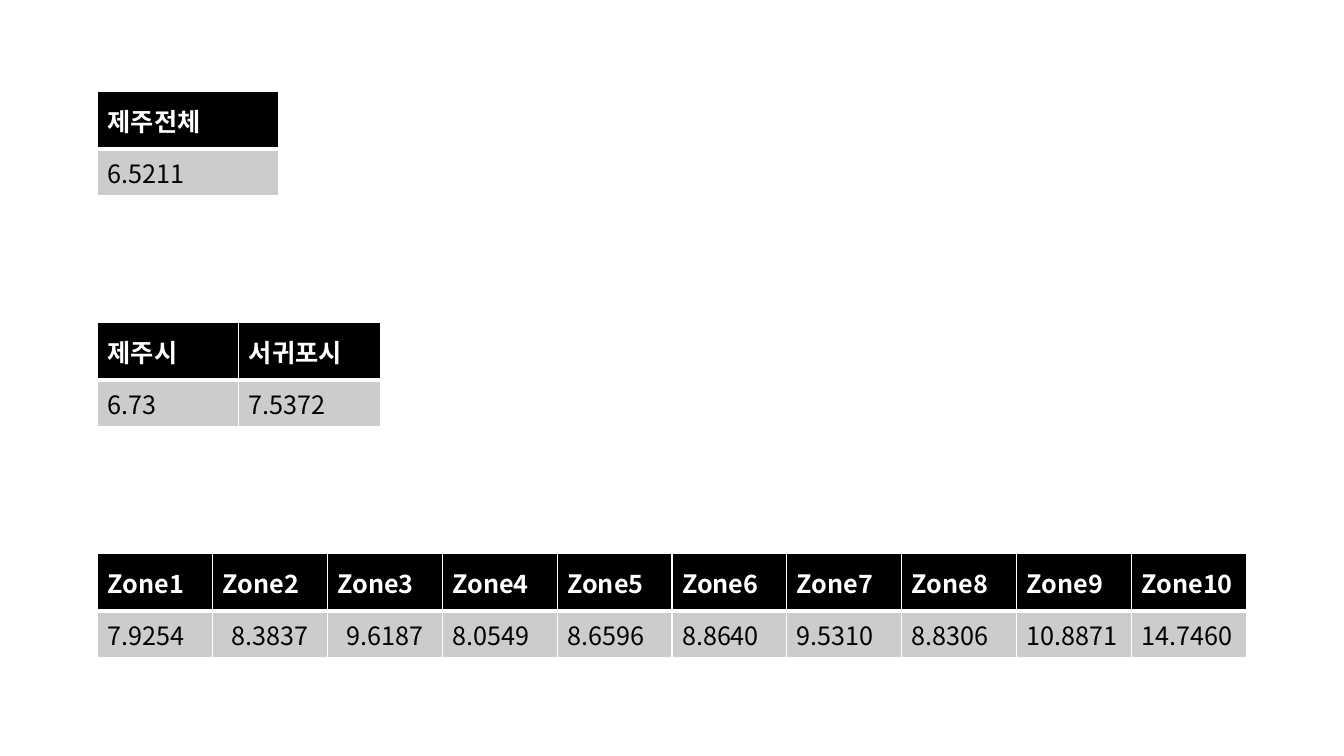
from dataclasses import dataclass

from lxml import etree
from pptx import Presentation
from pptx.dml.color import RGBColor
from pptx.enum.text import MSO_ANCHOR, PP_ALIGN
from pptx.oxml.ns import qn
from pptx.util import Cm, Pt

MIDDLE = MSO_ANCHOR.MIDDLE
LEFT = PP_ALIGN.LEFT
CENTER = PP_ALIGN.CENTER
FONT = "Noto Sans CJK KR"
BLACK, GREY, WHITE = "000000", "CCCCCC", "FFFFFF"
TABLE_LEFT = 2.46
FIRST_TOP, TOP_STEP = 2.31, 5.82
HEAD_H, BODY_H = 1.45, 0.84
HEAD_BORDERS = {"lnL": 1, "lnR": 1, "lnT": 1, "lnB": 3}
BODY_BORDERS = {"lnL": 1, "lnR": 1, "lnB": 1}


@dataclass(frozen=True)
class RegionTable:
    col_w: float
    values: dict[str, str]
    centered: tuple[str, ...] = ()


REGION_TABLES = [
    RegionTable(4.57, {"제주전체": "6.5211"}),
    RegionTable(3.56, {"제주시": "6.73", "서귀포시": "7.5372"}),
    RegionTable(2.895, {
        "Zone1": "7.9254", "Zone2": "8.3837", "Zone3": "9.6187",
        "Zone4": "8.0549", "Zone5": "8.6596", "Zone6": "8.8640",
        "Zone7": "9.5310", "Zone8": "8.8306", "Zone9": "10.8871",
        "Zone10": "14.7460",
    }, ("Zone2", "Zone3")),
]


def rgb(color: str) -> RGBColor:
    return RGBColor.from_string(color)


def set_borders(cell, borders: dict[str, int]) -> None:
    tc_pr = cell._tc.get_or_add_tcPr()
    for edge, width in borders.items():
        ln = etree.SubElement(tc_pr, qn(f"a:{edge}"), w=str(Pt(width)))
        fill = etree.SubElement(ln, qn("a:solidFill"))
        etree.SubElement(fill, qn("a:srgbClr"), val=WHITE)


def write_text(cell, text: str, *, color: str, bold: bool = False,
               align: PP_ALIGN = LEFT) -> None:
    cell.vertical_anchor = MIDDLE
    p = cell.text_frame.paragraphs[0]
    p.alignment = align
    r = p.add_run()
    r.text = text
    r.font.size = Pt(18)
    r.font.bold = bold
    r.font.color.rgb = rgb(color)
    r.font.name = FONT
    etree.SubElement(r._r.get_or_add_rPr(), qn("a:ea"), typeface=FONT)


def style_cell(cell, fill: str, borders: dict[str, int]) -> None:
    set_borders(cell, borders)
    cell.fill.solid()
    cell.fill.fore_color.rgb = rgb(fill)


def draw_table(s, region: RegionTable, top: float) -> None:
    count = len(region.values)
    table = s.shapes.add_table(
        2, count, Cm(TABLE_LEFT), Cm(top),
        Cm(region.col_w * count), Cm(HEAD_H + BODY_H)).table
    table.rows[0].height = Cm(HEAD_H)
    table.rows[1].height = Cm(BODY_H)
    for col, (name, value) in enumerate(region.values.items()):
        table.columns[col].width = Cm(region.col_w)
        head, body = table.cell(0, col), table.cell(1, col)
        style_cell(head, BLACK, HEAD_BORDERS)
        style_cell(body, GREY, BODY_BORDERS)
        write_text(head, name, color=WHITE, bold=True)
        write_text(body, value, color=BLACK,
                   align=CENTER if name in region.centered else LEFT)


def main() -> None:
    prs = Presentation()
    prs.slide_width, prs.slide_height = Cm(33.87), Cm(19.05)
    s = prs.slides.add_slide(prs.slide_layouts[6])
    for i, region in enumerate(REGION_TABLES):
        draw_table(s, region, FIRST_TOP + i * TOP_STEP)
    prs.save("out.pptx")


if __name__ == "__main__":
    main()
